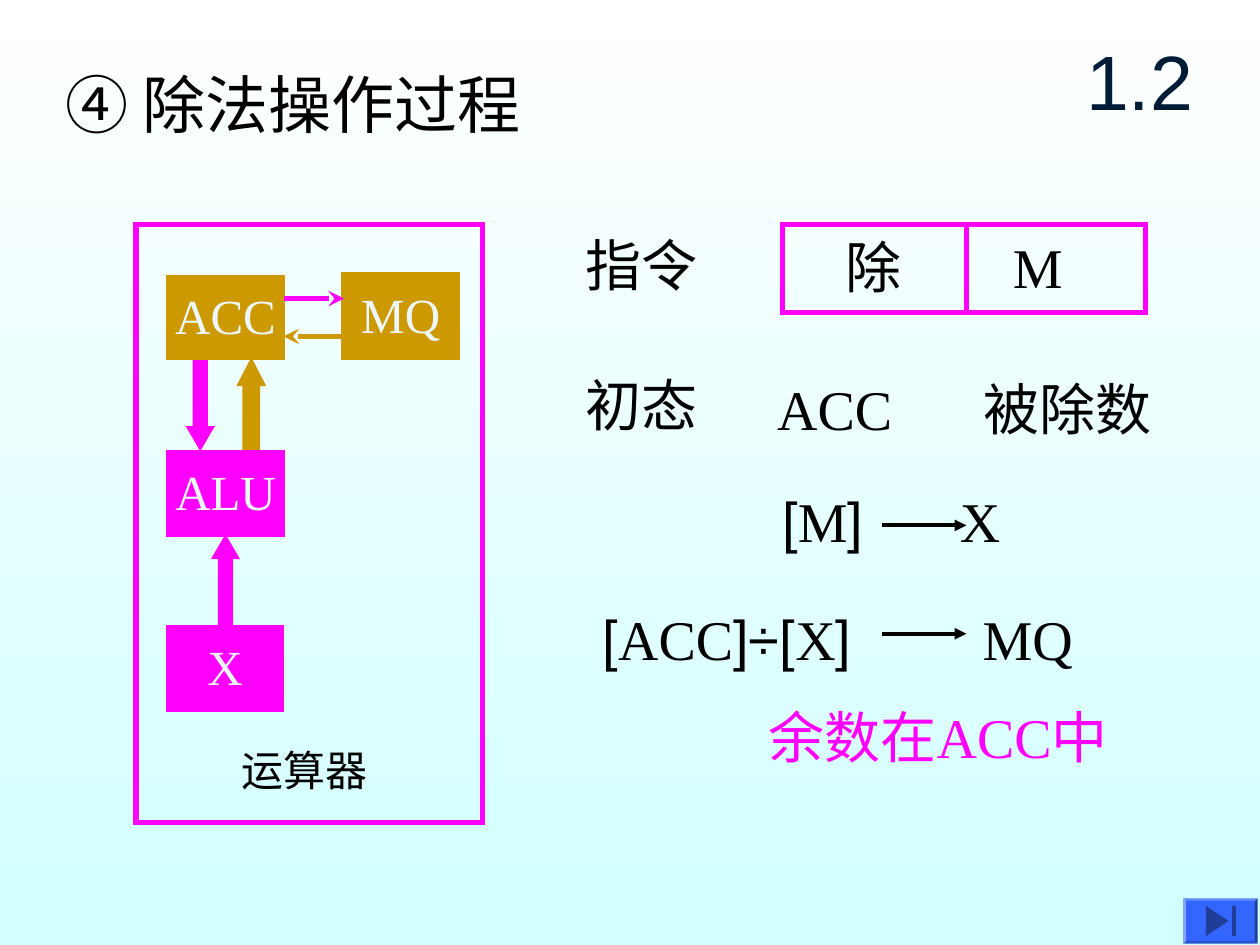
from lxml import etree
from pptx import Presentation
from pptx.dml.color import RGBColor
from pptx.enum.shapes import MSO_CONNECTOR, MSO_SHAPE
from pptx.enum.text import MSO_ANCHOR, PP_ALIGN
from pptx.oxml.ns import qn
from pptx.util import Inches, Pt

RECT = MSO_SHAPE.RECTANGLE
UP, DOWN = MSO_SHAPE.UP_ARROW, MSO_SHAPE.DOWN_ARROW
BEVEL, TRIANGLE = MSO_SHAPE.BEVEL, MSO_SHAPE.ISOSCELES_TRIANGLE
STRAIGHT = MSO_CONNECTOR.STRAIGHT
LEFT, CENTER = PP_ALIGN.LEFT, PP_ALIGN.CENTER
TOP, MIDDLE = MSO_ANCHOR.TOP, MSO_ANCHOR.MIDDLE

ARIAL, TIMES = "Arial", "Times New Roman"
BLACK = RGBColor(0, 0, 0)
WHITE = RGBColor(0xFF, 0xFF, 0xFF)
PALE_CYAN = RGBColor(0xD2, 0xFF, 0xFF)
MAGENTA = RGBColor(0xFF, 0x00, 0xFF)
GOLD = RGBColor(0xCC, 0x99, 0x00)
PALE = RGBColor(0xED, 0xF8, 0xFE)
NAVY = RGBColor(0x00, 0x1B, 0x36)
BLUE = RGBColor(0x33, 0x66, 0xFF)
DARK_BLUE = RGBColor(0x1F, 0x3D, 0x99)


def set_background(s):
    fill = s.background.fill
    fill.gradient()
    fill.gradient_angle = 270
    for stop, color, position in zip(fill.gradient_stops, (WHITE, PALE_CYAN), (0, 1)):
        stop.color.rgb = color
        stop.position = position


def write(p, runs, size, color):
    for text, font in runs:
        r = p.add_run()
        r.text = text
        r.font.name = font
        r.font.size = Pt(size)
        r.font.color.rgb = color


def add_text(s, box, runs, size=32, color=BLACK, align=LEFT, anchor=TOP,
             inset=True, tab=None):
    tf = s.shapes.add_textbox(*map(Inches, box)).text_frame
    tf.word_wrap = True
    tf.vertical_anchor = anchor
    if not inset:
        tf.margin_left = tf.margin_right = tf.margin_top = tf.margin_bottom = 0
    p = tf.paragraphs[0]
    p.alignment = align
    if tab:
        tabs = etree.SubElement(p._p.get_or_add_pPr(), qn("a:tabLst"))
        etree.SubElement(tabs, qn("a:tab"), pos=str(Inches(tab)), algn="l")
    write(p, runs, size, color)


def add_shape(s, kind, box, fill=None, line=None, adjustments=()):
    sp = s.shapes.add_shape(kind, *map(Inches, box))
    sp.shadow.inherit = False
    for i, value in enumerate(adjustments):
        sp.adjustments[i] = value
    if fill:
        sp.fill.solid()
        sp.fill.fore_color.rgb = fill
    else:
        sp.fill.background()
    if line:
        sp.line.color.rgb = line
        sp.line.width = Pt(3)
        etree.SubElement(sp.line._get_or_add_ln(), qn("a:miter"), lim="800000")
    else:
        sp.line.fill.background()
    return sp


def add_unit(s, box, name, color):
    tf = add_shape(s, RECT, box, color, color).text_frame
    tf.word_wrap = False
    tf.margin_left = tf.margin_right = tf.margin_top = 0
    tf.margin_bottom = Inches(0.04)
    tf.vertical_anchor = MIDDLE
    p = tf.paragraphs[0]
    p.alignment = CENTER
    write(p, [(name, TIMES)], 28, PALE)


def add_line(s, x1, y1, x2, y2, color, width, head=None):
    c = s.shapes.add_connector(STRAIGHT, *map(Inches, (x1, y1, x2, y2)))
    c.line.color.rgb = color
    c.line.width = Pt(width)
    if head:
        etree.SubElement(c.line._get_or_add_ln(), qn("a:tailEnd"), type=head)
    etree.SubElement(c._element.spPr, qn("a:effectLst"))


def add_arithmetic_unit(s):
    add_shape(s, RECT, (1.08, 1.78, 2.75, 4.75), line=MAGENTA)
    add_text(s, (1.92, 5.91, 1.1, 0.4), [("运算器", ARIAL)], 24, inset=False)
    add_shape(s, UP, (1.71, 4.28, 0.16, 0.69), MAGENTA, MAGENTA, (0.5, 0.86))
    add_shape(s, DOWN, (1.51, 2.85, 0.16, 0.69), MAGENTA, MAGENTA, (0.5, 0.86))
    add_shape(s, UP, (1.91, 2.88, 0.17, 0.67), GOLD, GOLD, (0.58, 0.97))
    add_unit(s, (1.34, 2.2, 0.9, 0.64), "ACC", GOLD)
    add_unit(s, (2.73, 2.18, 0.9, 0.66), "MQ", GOLD)
    add_unit(s, (1.34, 3.59, 0.9, 0.65), "ALU", MAGENTA)
    add_unit(s, (1.34, 4.98, 0.89, 0.65), "X", MAGENTA)
    add_line(s, 2.25, 2.37, 2.73, 2.37, MAGENTA, 3, "stealth")
    add_line(s, 2.73, 2.67, 2.25, 2.67, GOLD, 3, "stealth")


def add_instruction(s):
    add_text(s, (4.55, 1.78, 1.19, 0.64), [("指令", ARIAL)])
    add_shape(s, RECT, (6.21, 1.78, 2.88, 0.7), line=MAGENTA)
    add_line(s, 7.67, 1.77, 7.67, 2.49, MAGENTA, 3)
    add_text(s, (6.61, 1.8, 0.7, 0.64), [("除", ARIAL)])
    add_text(s, (7.94, 1.8, 0.89, 0.64), [("M", TIMES)])


def add_steps(s):
    add_text(s, (4.55, 2.89, 1.19, 0.64), [("初态", ARIAL)])
    add_text(s, (6.07, 2.92, 3.3, 0.64),
             [("ACC\t", TIMES), ("被除数", ARIAL)], tab=1.64)
    add_text(s, (6.11, 3.81, 3.48, 0.64),
             [("[", ARIAL), ("M", TIMES), ("]\t", ARIAL), ("X", TIMES)], tab=1.41)
    add_text(s, (4.57, 4.75, 2.4, 0.64),
             [("[", ARIAL), ("ACC", TIMES), ("]÷[", ARIAL), ("X", TIMES), ("]", ARIAL)],
             align=CENTER)
    add_text(s, (7.7, 4.75, 1, 0.64), [("MQ", TIMES)])
    for y in (4.17, 5.03):
        add_line(s, 7, y, 7.67, y, BLACK, 2.25, "triangle")
    add_text(s, (6, 5.53, 3.33, 0.64),
             [("余数在", ARIAL), ("ACC", TIMES), ("中", ARIAL)], color=MAGENTA)


def add_end_button(s):
    add_shape(s, BEVEL, (9.39, 7.13, 0.59, 0.36), BLUE, adjustments=(0.06,))
    triangle = add_shape(s, TRIANGLE, (9.54, 7.22, 0.24, 0.18), DARK_BLUE)
    triangle.rotation = 90
    add_shape(s, RECT, (9.78, 7.19, 0.03, 0.24), DARK_BLUE)


def main():
    prs = Presentation()
    prs.slide_width, prs.slide_height = Inches(10), Inches(7.5)
    s = prs.slides.add_slide(prs.slide_layouts[6])
    set_background(s)
    add_text(s, (0.42, 0.47, 5.33, 0.7), [("④ 除法操作过程", ARIAL)], 36)
    add_text(s, (8.42, 0.17, 1.25, 0.92), [("1.2", ARIAL)], 44, NAVY, CENTER, MIDDLE)
    add_arithmetic_unit(s)
    add_instruction(s)
    add_steps(s)
    add_end_button(s)
    prs.save("out.pptx")


if __name__ == "__main__":
    main()
